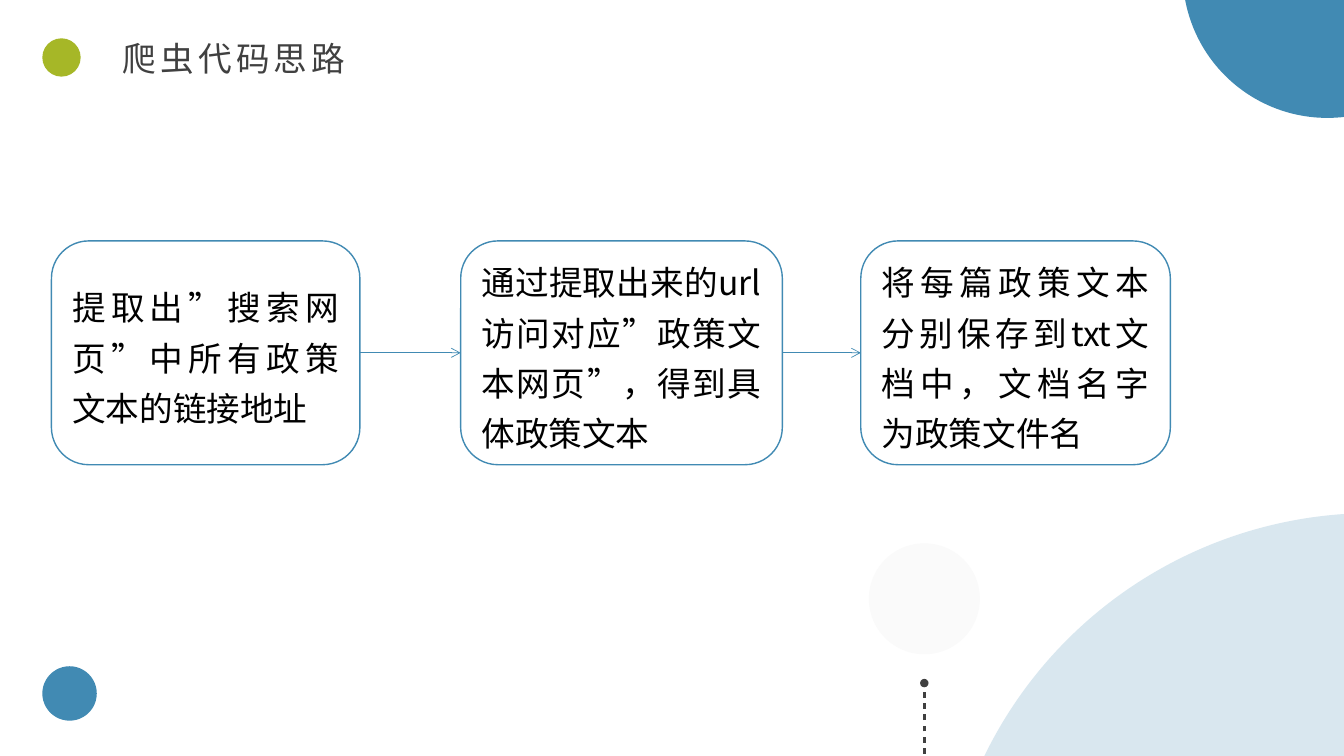
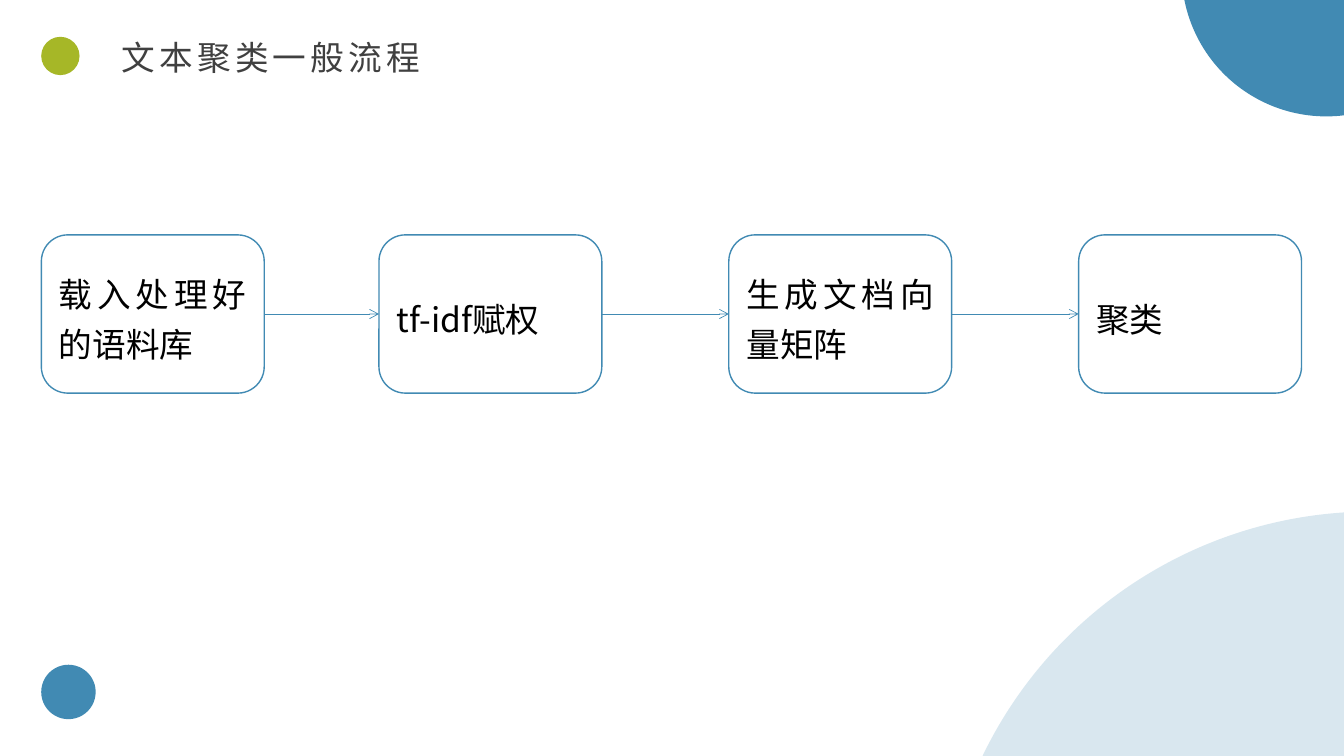
from dataclasses import dataclass

from lxml.etree import SubElement
from pptx import Presentation
from pptx.dml.color import RGBColor
from pptx.enum.shapes import MSO_CONNECTOR, MSO_SHAPE
from pptx.enum.text import MSO_ANCHOR, PP_ALIGN
from pptx.oxml.ns import qn
from pptx.util import Inches, Pt

COLORS = {
    "blue": "418AB3",
    "green": "A6B727",
    "pale": "FAFAFA",
    "title": "404040",
    "text": "000000",
    "white": "FFFFFF",
}
FONT = "Noto Sans CJK SC"
TEXT_SIZE = 24
SLIDE_WIDTH = Inches(13.33)
SLIDE_HEIGHT = Inches(7.5)


@dataclass
class Box:
    left: float
    top: float
    width: float
    height: float


def across(percent):
    return int(SLIDE_WIDTH * percent / 100)


def down(percent):
    return int(SLIDE_HEIGHT * percent / 100)


def rgb(name):
    return RGBColor.from_string(COLORS[name])


def add_run(paragraph, text, color, spacing=None):
    run = paragraph.add_run()
    run.text = text
    run.font.size = Pt(TEXT_SIZE)
    run.font.name = FONT
    run.font.color.rgb = rgb(color)
    properties = run.font._element
    properties.set("lang", "zh-CN")
    if spacing:
        properties.set("spc", str(spacing * 100))
    SubElement(properties, qn("a:ea"), typeface=FONT)


def add_circle(slide, left, top, diameter, color, opacity=None, kind=MSO_SHAPE.FLOWCHART_CONNECTOR):
    size = down(diameter)
    circle = slide.shapes.add_shape(kind, across(left), down(top), size, size)
    circle.shadow.inherit = False
    circle.fill.solid()
    circle.fill.fore_color.rgb = rgb(color)
    circle.line.fill.background()
    if opacity:
        color_element = circle._element.spPr.find(qn("a:solidFill"))[0]
        SubElement(color_element, qn("a:alpha"), val=str(opacity * 1000))


def add_line(slide, start, end, color, weight, ending, dash=None):
    connector = slide.shapes.add_connector(
        MSO_CONNECTOR.STRAIGHT, across(start[0]), down(start[1]), across(end[0]), down(end[1])
    )
    connector.line.color.rgb = rgb(color)
    connector.line.width = Pt(weight)
    line_element = connector.line._get_or_add_ln()
    if dash:
        pattern = SubElement(line_element, qn("a:custDash"))
        SubElement(pattern, qn("a:ds"), d=str(dash * 1000), sp=str(dash * 1000))
    SubElement(line_element, qn("a:tailEnd"), type=ending)
    SubElement(connector._element.spPr, qn("a:effectLst"))
    return connector


def add_frame(slide, title, title_width, left=0, top=0):
    add_circle(slide, left + 70, top + 67.87, 114.27, "blue", opacity=20)
    add_circle(slide, left + 88, top - 22.67, 38.27, "blue")
    add_circle(slide, left + 3.15, top + 88.13, 7.2, "blue")
    add_circle(slide, left + 3.15, top + 5.07, 5.07, "green")
    text_box = slide.shapes.add_textbox(
        across(left + 8.4), down(top + 4.4), across(title_width), down(6.67)
    )
    text_box.text_frame.word_wrap = True
    paragraph = text_box.text_frame.paragraphs[0]
    paragraph.alignment = PP_ALIGN.JUSTIFY
    add_run(paragraph, title, "title", spacing=3)


def add_ornament(slide, box):
    add_circle(slide, box.left, box.top, box.height / 2, "pale", kind=MSO_SHAPE.OVAL)
    center = box.left + box.width / 2
    add_line(
        slide, (center, box.top + box.height), (center, box.top + box.height * 0.63),
        "title", 2, "oval", dash=200,
    )


def add_step(slide, box, text):
    step = slide.shapes.add_shape(
        MSO_SHAPE.ROUNDED_RECTANGLE,
        across(box.left), down(box.top), across(box.width), down(box.height),
    )
    step.shadow.inherit = False
    step.fill.solid()
    step.fill.fore_color.rgb = rgb("white")
    step.line.color.rgb = rgb("blue")
    step.line.width = Pt(1)
    frame = step.text_frame
    frame.word_wrap = True
    frame.vertical_anchor = MSO_ANCHOR.MIDDLE
    paragraph = frame.paragraphs[0]
    paragraph.alignment = PP_ALIGN.JUSTIFY
    paragraph.line_spacing = 1.25
    add_run(paragraph, text, "text")
    return step


def add_flow(slide, boxes, texts):
    steps = [add_step(slide, box, text) for box, text in zip(boxes, texts)]
    for index in range(len(steps) - 1):
        source, target = boxes[index], boxes[index + 1]
        middle = source.top + source.height / 2
        arrow = add_line(
            slide, (source.left + source.width, middle), (target.left, middle),
            "blue", 0.5, "arrow",
        )
        arrow.begin_connect(steps[index], 3)
        arrow.end_connect(steps[index + 1], 1)


def add_crawler_slide(slide):
    add_frame(slide, "爬虫代码思路", 19.05)
    add_ornament(slide, Box(64.65, 71.87, 8.25, 29.34))
    columns = [(3.83, 22.95), (34.28, 23.93), (64.05, 23.03)]
    add_flow(
        slide,
        [Box(left, 31.87, width, 29.6) for left, width in columns],
        [
            "提取出”搜索网页”中所有政策文本的链接地址",
            "通过提取出来的url访问对应”政策文本网页”，得到具体政策文本",
            "将每篇政策文本分别保存到txt文档中，文档名字为政策文件名",
        ],
    )


def add_clustering_slide(slide):
    add_frame(slide, "文本聚类一般流程", 25.28, left=-0.08, top=-0.2)
    lefts = [3.08] + [28.2 + 26.03 * column for column in range(3)]
    add_flow(
        slide,
        [Box(left, 31.07, 16.58, 20.93) for left in lefts],
        ["载入处理好的语料库", "tf-idf赋权", "生成文档向量矩阵", "聚类"],
    )


def main():
    presentation = Presentation()
    presentation.slide_width = SLIDE_WIDTH
    presentation.slide_height = SLIDE_HEIGHT
    for build in (add_crawler_slide, add_clustering_slide):
        slide = presentation.slides.add_slide(presentation.slide_layouts[6])
        slide.background.fill.solid()
        slide.background.fill.fore_color.rgb = rgb("white")
        build(slide)
    presentation.save("out.pptx")


if __name__ == "__main__":
    main()
